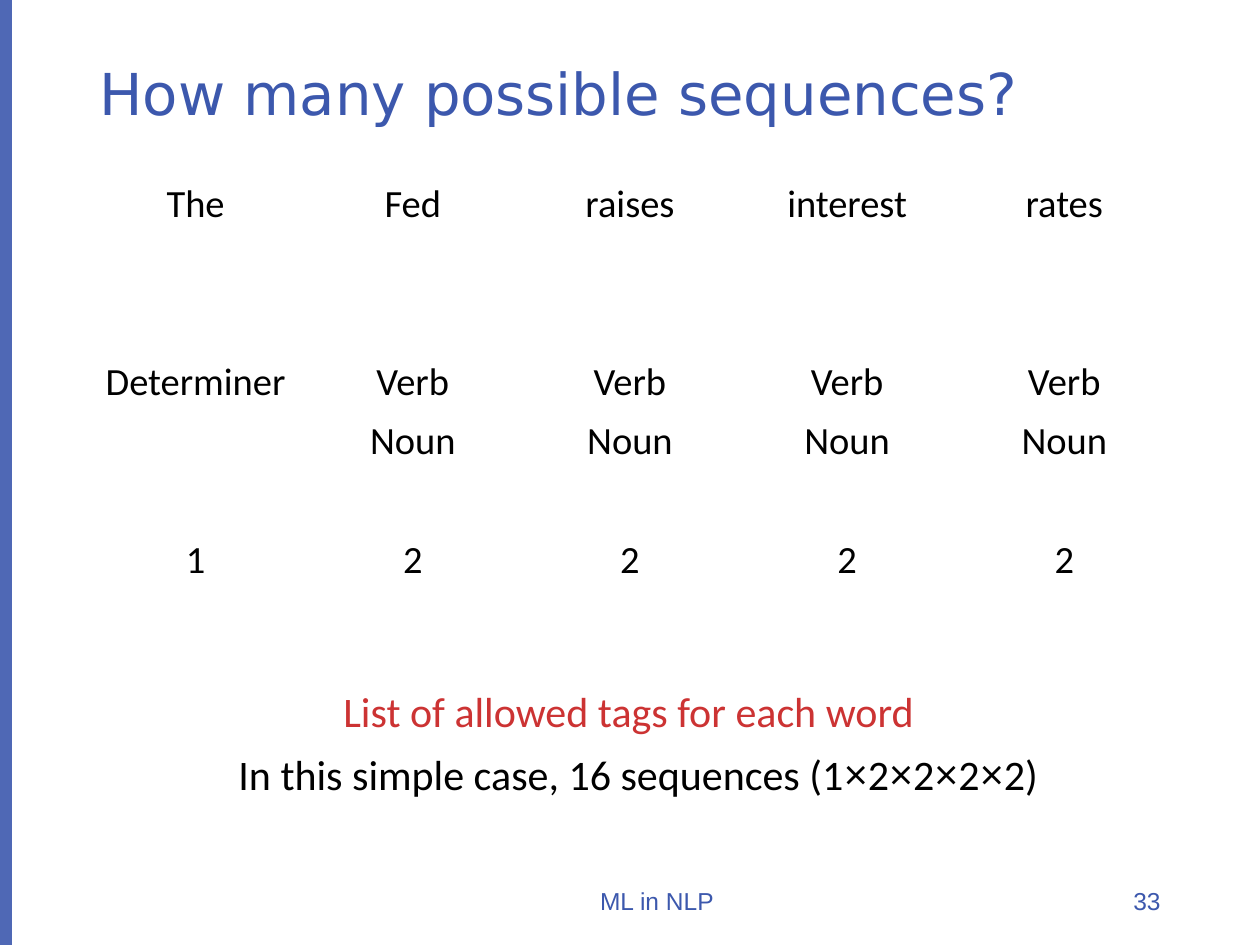
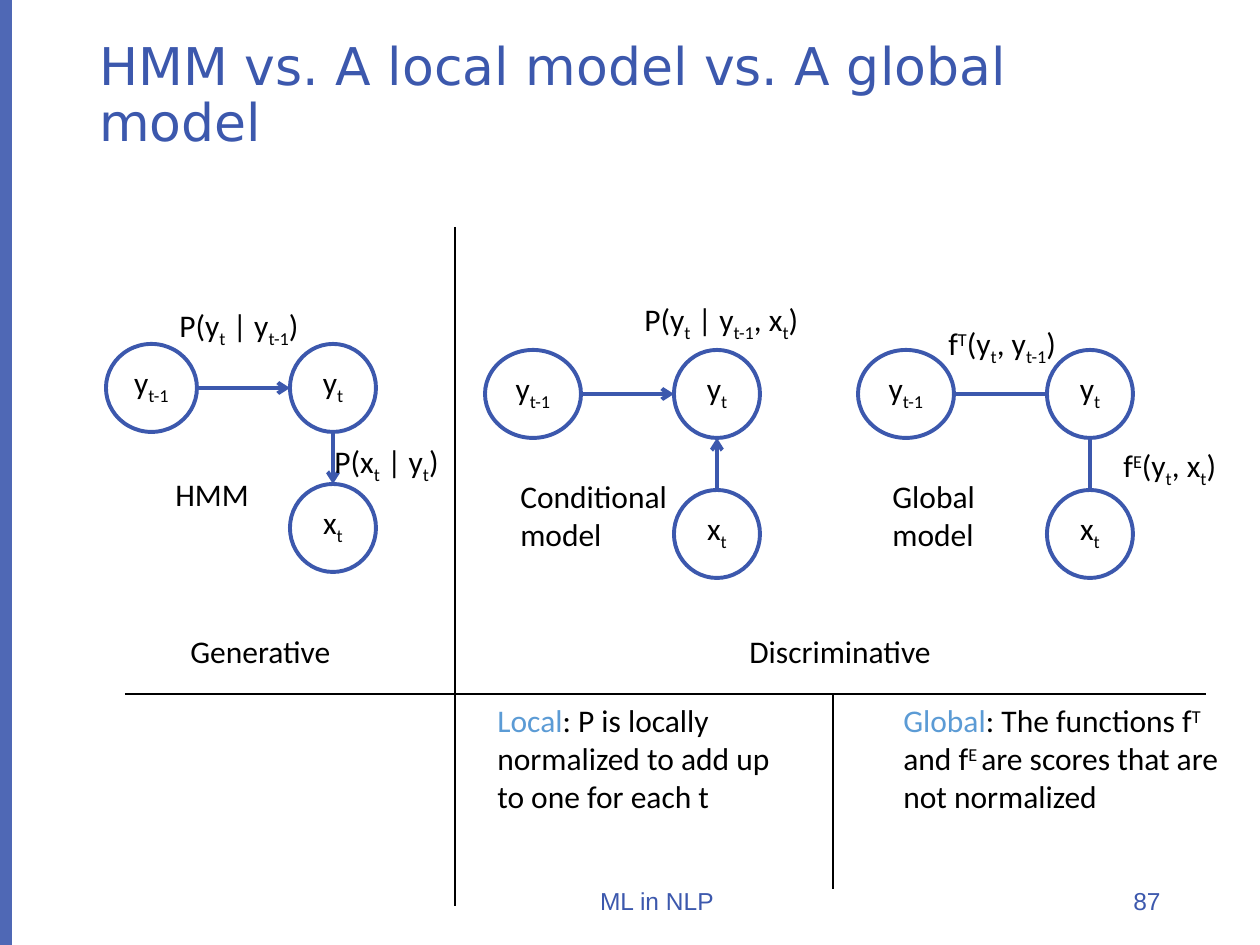
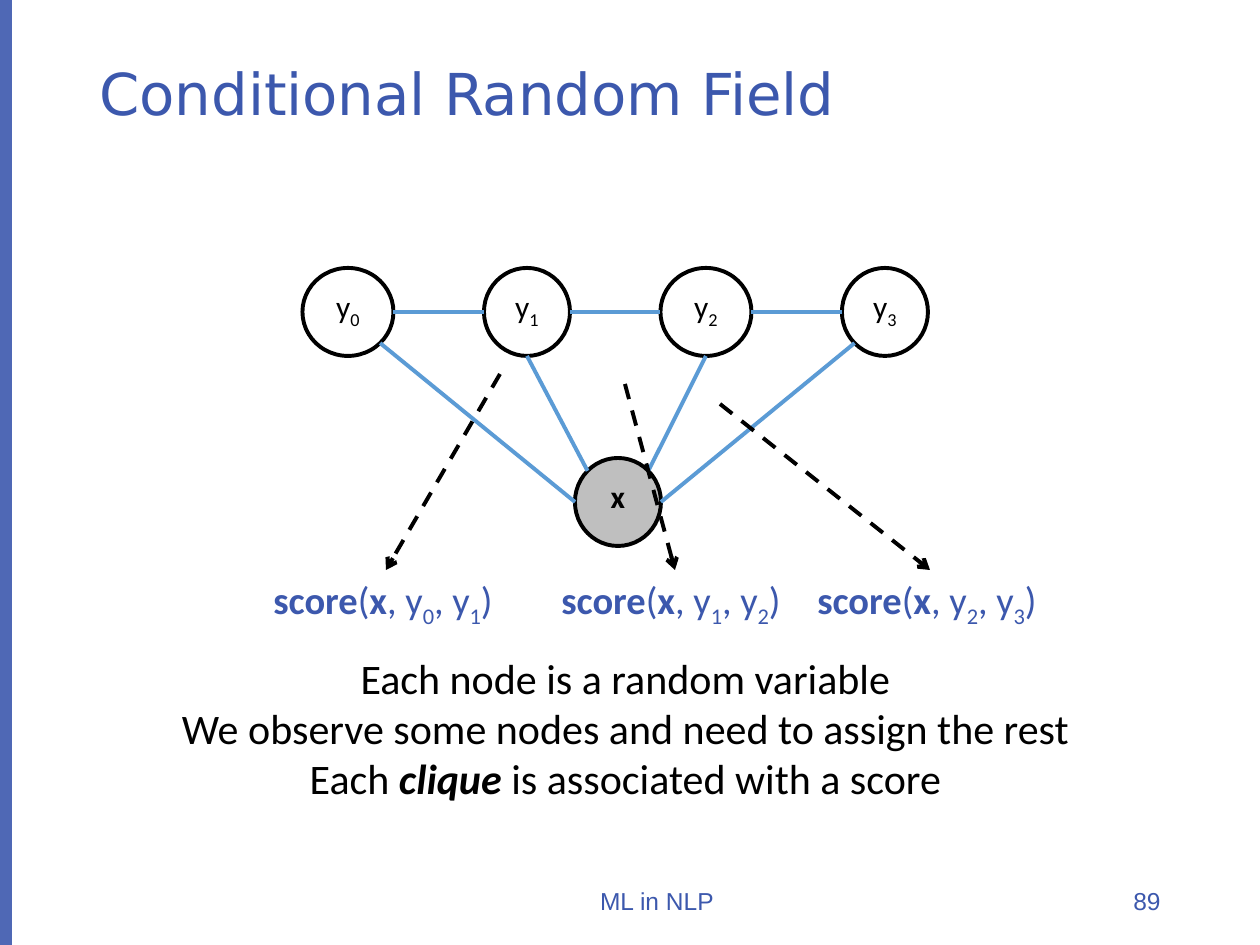
from math import cos, radians, sin

from lxml import etree
from pptx import Presentation
from pptx.dml.color import RGBColor
from pptx.enum.dml import MSO_LINE
from pptx.enum.shapes import MSO_CONNECTOR, MSO_SHAPE
from pptx.enum.text import MSO_ANCHOR, MSO_AUTO_SIZE, PP_ALIGN
from pptx.oxml.ns import qn
from pptx.util import Emu, Pt

PX = 914400 // 126
WIDE, HIGH = 1260, 945
HEX = {"blue": "3C58AD", "sky": "5B9BD5", "red": "CC3333",
       "black": "000000", "white": "FFFFFF", "gray": "BFBFBF"}
LEFT, MID, RIGHT = PP_ALIGN.LEFT, PP_ALIGN.CENTER, PP_ALIGN.RIGHT
TOP, CENTER = MSO_ANCHOR.TOP, MSO_ANCHOR.MIDDLE
GROW, FIXED = MSO_AUTO_SIZE.SHAPE_TO_FIT_TEXT, MSO_AUTO_SIZE.NONE
OVAL, RECT = MSO_SHAPE.OVAL, MSO_SHAPE.RECTANGLE
STRAIGHT, DASH = MSO_CONNECTOR.STRAIGHT, MSO_LINE.DASH
BODY, HEAD, FOOT, SIGN = "Calibri", "DejaVu Sans", "Arial", "Open Sans"
NODE_H = 88
SHIFT = {"_": "-25000", "^": "30000"}


def emu(*sizes):
    """Turn pixel lengths into EMU."""
    return [Emu(round(size * PX)) for size in sizes]


def color(name):
    """Look up a colour by name."""
    return RGBColor.from_string(HEX[name])


def write(para, text, size, font=BODY, ink="black", align=LEFT):
    """Fill a paragraph; ~ splits runs, and a first mark styles a run.

    _ lowers, ^ raises, * is bold, / is bold italic, # is sky, + is a sign.
    """
    para.alignment = align
    para.font.size = Pt(size)
    para.font.name = font
    para.font.color.rgb = color(ink)
    for part in text.split("~"):
        mark = part[0] if part[0] in "_^*/#+" else ""
        run = para.add_run()
        run.text = part[len(mark):]
        if mark in SHIFT:
            run.font._element.set("baseline", SHIFT[mark])
        elif mark in ("*", "/"):
            run.font.bold = True
            run.font.italic = True if mark == "/" else None
        elif mark == "#":
            run.font.color.rgb = color("sky")
        elif mark == "+":
            run.font.name = SIGN


def label(slide, box, text, size=18, wrap=False, fit=GROW, anchor=TOP, **look):
    """Add a text box with one paragraph per line of text."""
    frame = slide.shapes.add_textbox(*emu(*box)).text_frame
    frame.word_wrap = wrap
    frame.auto_size = fit
    frame.vertical_anchor = anchor
    for i, line in enumerate(text.split("\n")):
        para = frame.add_paragraph() if i else frame.paragraphs[0]
        write(para, line, size, **look)
    return frame


def start(deck, title, number, size=33):
    """Add a slide with its side band, title and footer."""
    slide = deck.slides.add_slide(deck.slide_layouts[6])
    band = slide.shapes.add_shape(RECT, *emu(0, 0, 12, HIGH))
    band.shadow.inherit = False
    band.fill.solid()
    band.fill.fore_color.rgb = color("blue")
    band.line.fill.background()
    tint = band._element.spPr.find(".//" + qn("a:srgbClr"))
    etree.SubElement(tint, qn("a:alpha"), val="90000")
    fixed = {"wrap": True, "fit": FIXED, "anchor": CENTER, "ink": "blue"}
    head = label(slide, (87, 50, 1086, 93), title, size, font=HEAD, **fixed)
    head.paragraphs[0].line_spacing = 0.9
    for box, text, align in (((417, 876, 480, 50), "ML in NLP", MID),
                             ((989, 876, 184, 50), str(number), RIGHT)):
        label(slide, box, text, 14, font=FOOT, align=align, **fixed)
    return slide


def node(slide, left, top, wide, text, rim="blue", fill="white"):
    """Add a round graph node and return its box."""
    box = (left, top, wide, NODE_H)
    oval = slide.shapes.add_shape(OVAL, *emu(*box))
    oval.shadow.inherit = False
    oval.fill.solid()
    oval.fill.fore_color.rgb = color(fill)
    oval.line.color.rgb = color(rim)
    oval.line.width = Pt(2.25)
    oval.text_frame.vertical_anchor = TOP
    write(oval.text_frame.paragraphs[0], text, 18, align=MID)
    return box


def edge(box, angle):
    """Give the point of a node's rim at a clockwise angle from the right."""
    left, top, wide, high = box
    turn = radians(angle)
    return left + wide / 2 * (1 + cos(turn)), top + high / 2 * (1 + sin(turn))


def link(slide, begin, end, ink="black", width=2.25, arrow=False, dash=None):
    """Draw a straight line between two points."""
    line = slide.shapes.add_connector(STRAIGHT, *emu(*begin, *end))
    line.line.color.rgb = color(ink)
    line.line.width = Pt(width)
    if dash:
        line.line.dash_style = dash
    props = line._element.spPr
    if arrow:
        etree.SubElement(props.find(qn("a:ln")), qn("a:tailEnd"), type="arrow")
    etree.SubElement(props, qn("a:effectLst"))


def grid(slide, left, top, col, row, rows):
    """Add a plain table of centred words."""
    count = len(rows[0])
    size = emu(left, top, col * count, row * len(rows))
    table = slide.shapes.add_table(len(rows), count, *size).table
    table.first_row = table.horz_banding = False
    for r, words in enumerate(rows):
        for c, word in enumerate(words):
            cell = table.cell(r, c)
            cell.fill.background()
            if word:
                write(cell.text_frame.paragraphs[0], word, 22, align=MID)


def model(slide, left, top, wide, arrow=True, upward=True):
    """Draw a graph of two states and one observation."""
    right = left + wide + 93
    past = node(slide, left, top, wide, "y~_t-1")
    state = node(slide, right, top, 86, "y~_t")
    seen = node(slide, right, top + 140, 86, "x~_t")
    link(slide, edge(past, 0), edge(state, 180), "blue", arrow=arrow)
    ends = [edge(seen, 270), edge(state, 90)]
    if not upward:
        ends.reverse()
    link(slide, *ends, "blue", arrow=arrow)


def count_slide(deck):
    """Count the tag sequences of a sentence."""
    slide = start(deck, "How many possible sequences?", 33)
    gap = [""] * 5
    grid(slide, 87, 175, 217.2, 59, [
        ["The", "Fed", "raises", "interest", "rates"], gap, gap,
        ["Determiner"] + ["Verb"] * 4, [""] + ["Noun"] * 4, gap,
        ["1"] + ["2"] * 4])
    label(slide, (226, 742, 830, 63),
          "In this simple case, 16 sequences (1" + "~+×~2" * 4 + ")", 24)
    label(slide, (331, 679, 663, 63), "List of allowed tags for each word",
          24, wrap=True, ink="red")


def compare_slide(deck):
    """Set three sequence models side by side."""
    slide = start(deck, "HMM vs. A local model vs. A global model", 87, 29.7)
    model(slide, 106, 344, 91, upward=False)
    model(slide, 485, 350, 96)
    model(slide, 858, 350, 96, arrow=False)
    for left, top, wide, high, text in (
            (163, 469, 100, 50, "HMM"),
            (508, 471, 174, 89, "Conditional\nmodel"),
            (880, 471, 108, 89, "Global\nmodel"),
            (167, 300, 150, 50, "P(y~_t~ | y~_t-1~)"),
            (322, 436, 132, 50, "P(x~_t~ | y~_t~)"),
            (632, 294, 186, 50, "P(y~_t~ | y~_t-1~, x~_t~)"),
            (936, 318, 145, 50, "f~^T~(y~_t~, y~_t-1~)"),
            (1111, 440, 122, 50, "f~^E~(y~_t~, x~_t~)"),
            (178, 626, 168, 50, "Generative"),
            (737, 626, 209, 50, "Discriminative")):
        label(slide, (left, top, wide, high), text)
    label(slide, (485, 695, 301, 127), "#Local~: P is locally normalized "
          "to add up to one for each t", wrap=True)
    label(slide, (891, 695, 340, 127), "#Global~: The functions f~^T~ and f"
          "~^E ~are scores that are not normalized", wrap=True)
    for begin, end in (((455, 227), (455, 906)), ((833, 695), (833, 889)),
                       ((125, 694), (1206, 694))):
        link(slide, begin, end, width=0.75)


def field_slide(deck):
    """Show a random field with a score for each clique."""
    slide = start(deck, "Conditional Random Field", 89)
    states = []
    for i, wide in enumerate((91, 86, 91, 86)):
        left = 348 + 179 * i - wide / 2
        states.append(node(slide, left, 268, wide, f"y~_{i}", "black"))
    seen = node(slide, 575, 458, 86, "*x", "black", "gray")
    for one, two in zip(states, states[1:]):
        link(slide, edge(one, 0), edge(two, 180), "sky")
    for state, out, into in zip(states, (45, 90, 90, 135),
                                (180, 225, 315, 0)):
        link(slide, edge(seen, into), edge(state, out), "sky")
    for i, (left, begin, end) in enumerate((
            (261, (500, 374), (386, 570)),
            (549, (625, 384), (675, 570)),
            (805, (720, 404), (930, 570)))):
        label(slide, (left, 570, 251, 59),
              f"*score~(~*x~, y~_{i}~, y~_{i + 1}~)", 22, ink="blue")
        link(slide, begin, end, arrow=True, dash=DASH)
    label(slide, (165, 646, 921, 165), "Each node is a random variable\n"
          "We observe some nodes and need to assign the rest\n"
          "Each ~/clique~ is associated with a score", 24, align=MID)


def main():
    """Build the deck."""
    deck = Presentation()
    deck.slide_width, deck.slide_height = emu(WIDE, HIGH)
    count_slide(deck)
    compare_slide(deck)
    field_slide(deck)
    deck.save("out.pptx")


main()
